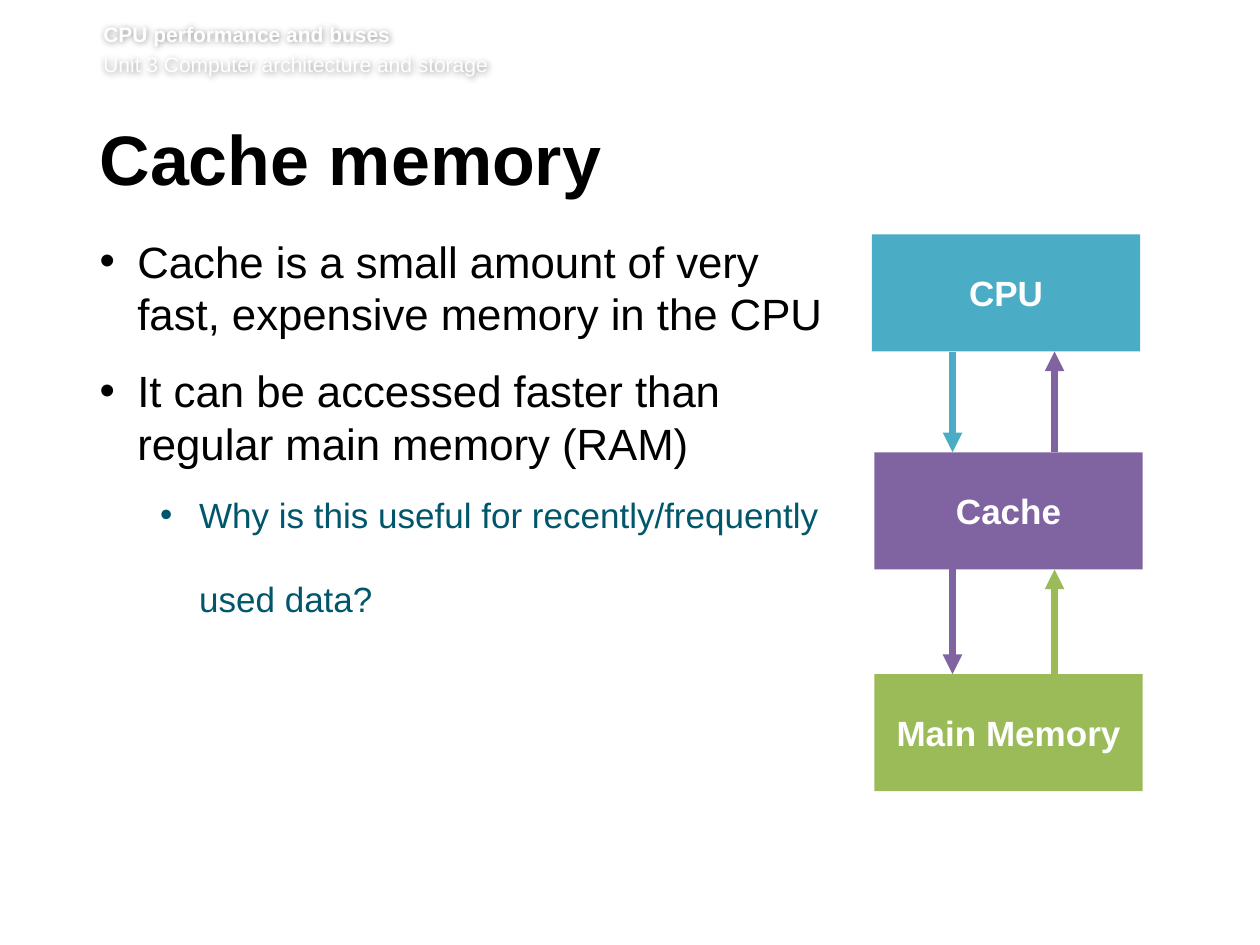
from lxml import etree
from pptx import Presentation
from pptx.dml.color import RGBColor
from pptx.enum.shapes import MSO_CONNECTOR, MSO_SHAPE
from pptx.enum.text import MSO_ANCHOR, MSO_AUTO_SIZE, PP_ALIGN
from pptx.oxml.ns import qn
from pptx.util import Inches, Pt

STRAIGHT = MSO_CONNECTOR.STRAIGHT
RECTANGLE = MSO_SHAPE.RECTANGLE
TOP, MIDDLE = MSO_ANCHOR.TOP, MSO_ANCHOR.MIDDLE
NO_AUTOFIT = MSO_AUTO_SIZE.NONE
LEFT, CENTER = PP_ALIGN.LEFT, PP_ALIGN.CENTER

TEAL, PURPLE, GREEN = "4BACC6", "8064A2", "9BBB59"
WHITE, BLACK, DARK_TEAL = "FFFFFF", "000000", "00566A"


def rgb(color):
    return RGBColor.from_string(color)


def add_text(paragraph, text, size, color, bold=False):
    run = paragraph.add_run()
    run.text = text
    run.font.name = "Arial"
    run.font.size = Pt(size)
    run.font.bold = bold
    run.font.color.rgb = rgb(color)


prs = Presentation()
prs.slide_width, prs.slide_height = Inches(10), Inches(7.5)
slide = prs.slides.add_slide(prs.slide_layouts[1])
title, body = slide.shapes.title, slide.placeholders[1]

# Running header, white with a soft grey shadow
header = slide.shapes.add_textbox(Inches(0.82), Inches(0.17), Inches(8.82), Inches(0.49))
frame = header.text_frame
frame.word_wrap = True
frame.margin_left = frame.margin_top = frame.margin_right = 0
add_text(frame.paragraphs[0], "CPU performance and buses", 12, WHITE, bold=True)
unit = frame.add_paragraph()
unit.space_before = Pt(2.9)
add_text(unit, "Unit 3 Computer architecture and storage", 12, WHITE)
effects = etree.SubElement(header._element.spPr, qn("a:effectLst"))
shadow = etree.SubElement(effects, qn("a:outerShdw"), blurRad="50800", dist="0", algn="ctr")
shadow_color = etree.SubElement(shadow, qn("a:srgbClr"), val=BLACK)
etree.SubElement(shadow_color, qn("a:alpha"), val="43000")

# Title
title.left, title.top = Inches(0.79), Inches(0.99)
title.width, title.height = Inches(8.55), Inches(0.73)
frame = title.text_frame
frame.auto_size = NO_AUTOFIT
frame.vertical_anchor = TOP
frame.margin_left = 0
heading = frame.paragraphs[0]
heading.alignment = LEFT
heading.line_spacing = Pt(39)
add_text(heading, "Cache memory", 40, BLACK, bold=True)

# Bullet list
body.left, body.top = Inches(0.79), Inches(1.86)
body.width, body.height = Inches(5.84), Inches(3.78)
frame = body.text_frame
frame.auto_size = NO_AUTOFIT
frame.margin_left = frame.margin_top = 0
# text, level, size, color, line spacing, space after, bulleted
points = [
    ("Cache is a small amount of very fast, expensive memory in the CPU",
     0, 25, BLACK, 30, 14, True),
    ("It can be accessed faster than regular main memory (RAM)",
     0, 25, BLACK, 30, 14, True),
    ("Why is this useful for recently/frequently", 1, 20, DARK_TEAL, 24, 24, True),
    ("used data?", 1, 20, DARK_TEAL, 24, 12, False),
]
indents = [(0.3, 0.3), (0.79, 0.31)]
for i, (text, level, size, color, spacing, after, bulleted) in enumerate(points):
    point = frame.add_paragraph() if i else frame.paragraphs[0]
    point.level = level
    point.line_spacing = Pt(spacing)
    point.space_before = Pt(0)
    point.space_after = Pt(after)
    margin, hanging = indents[level]
    properties = point._p.get_or_add_pPr()
    properties.set("marL", str(Inches(margin)))
    properties.set("indent", str(-Inches(hanging) if bulleted else 0))
    if bulleted:
        etree.SubElement(properties, qn("a:buFont"), typeface="Arial")
        etree.SubElement(properties, qn("a:buChar"), char="•")
    else:
        etree.SubElement(properties, qn("a:buNone"))
    add_text(point, text, size, color)

# Memory hierarchy boxes
levels = [("CPU", 6.92, 1.86, TEAL), ("Cache", 6.94, 3.59, PURPLE),
          ("Main Memory", 6.94, 5.35, GREEN)]
BOX_HEIGHT = 0.93
for label, left, top, color in levels:
    box = slide.shapes.add_shape(RECTANGLE, Inches(left), Inches(top),
                                 Inches(2.13), Inches(BOX_HEIGHT))
    box.shadow.inherit = False
    box.fill.solid()
    box.fill.fore_color.rgb = rgb(color)
    box.line.fill.background()
    box.text_frame.word_wrap = True
    box.text_frame.vertical_anchor = MIDDLE
    caption = box.text_frame.paragraphs[0]
    caption.alignment = CENTER
    add_text(caption, label, 20, WHITE, bold=True)

# Arrows down and up between neighbours, each in its sender's colour
for upper, lower in zip(levels, levels[1:]):
    start, end = upper[2] + BOX_HEIGHT, lower[2]
    for x, y1, y2, color in [(7.56, start, end, upper[3]), (8.37, end, start, lower[3])]:
        arrow = slide.shapes.add_connector(STRAIGHT, Inches(x), Inches(y1),
                                           Inches(x), Inches(y2))
        arrow.line.color.rgb = rgb(color)
        arrow.line.width = Pt(3.75)
        etree.SubElement(arrow.line._get_or_add_ln(), qn("a:tailEnd"), type="triangle")
        etree.SubElement(arrow._element.spPr, qn("a:effectLst"))

prs.save("out.pptx")
